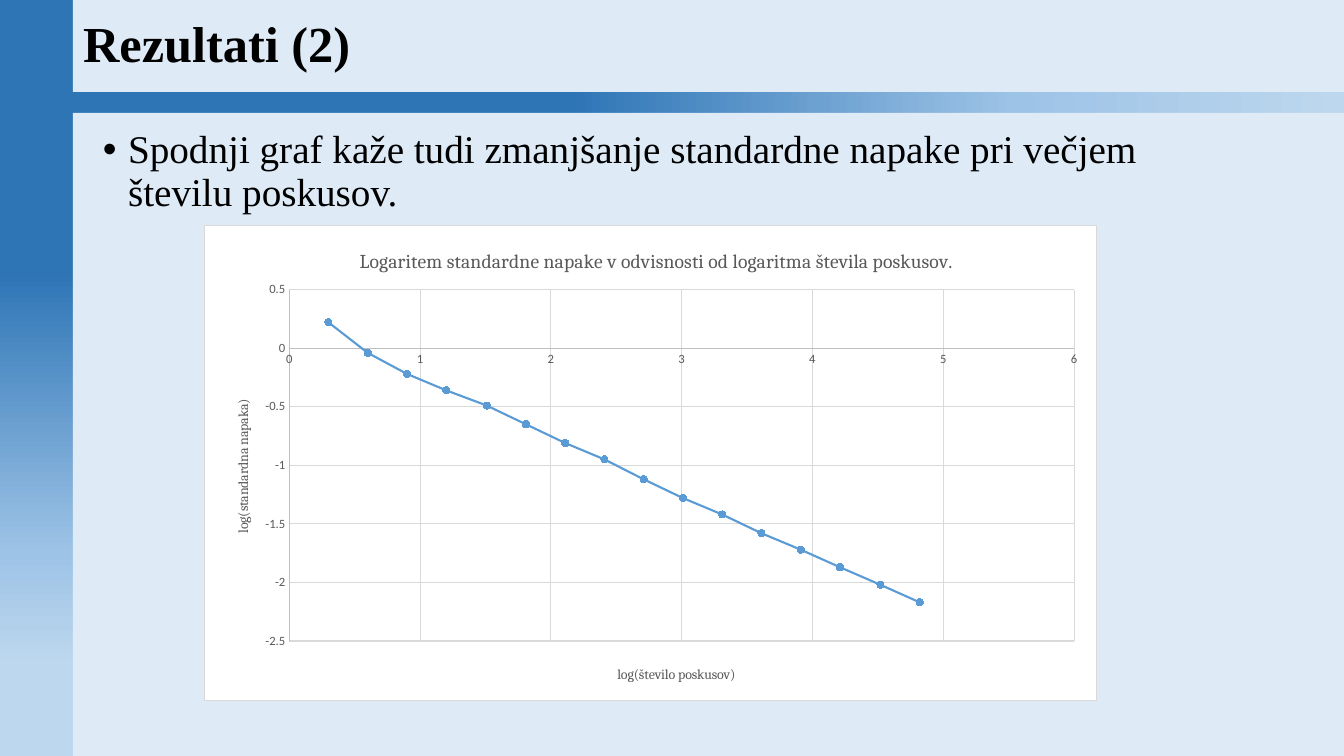
import dataclasses
import math

import pptx
import pptx.chart.data
import pptx.dml.color
import pptx.enum.chart
import pptx.enum.shapes
import pptx.enum.text
import pptx.oxml
import pptx.oxml.ns
import pptx.util

PX = 914400 / 100.8
SERIF = "Times New Roman"
CHART_SERIF = "Cambria"
BLUE, GRAY, GRID, AXIS = "5B9BD5", "595959", "D9D9D9", "BFBFBF"
STANDARD_ERRORS = [0.22, -0.04, -0.22, -0.36, -0.49, -0.65, -0.81, -0.95,
                   -1.12, -1.28, -1.42, -1.58, -1.72, -1.87, -2.02, -2.17]


@dataclasses.dataclass
class Panel:
    """A background rectangle; several stops make a gradient."""
    box: tuple[int, int, int, int]
    stops: list[tuple[int, str]]
    angle: int = 0


@dataclasses.dataclass
class Axis:
    title: str
    low: float
    high: float
    step: float
    title_at: tuple[float, float]


PANELS = [
    Panel((0, 0, 73, 756),
          [(36, "2E75B6"), (73, "9DC3E6"), (88, "BDD7EE"), (100, "BDD7EE")], 90),
    Panel((73, 92, 1271, 21),
          [(0, "2E75B6"), (39, "2E75B6"), (74, "9DC3E6"), (100, "BDD7EE")]),
    Panel((73, 113, 1271, 643), [(0, "DEEBF7")]),
    Panel((73, 0, 1271, 92), [(0, "DEEBF7")]),
]
X_AXIS = Axis("log(število poskusov)", 0, 6, 1, (0.46, 0.92))
Y_AXIS = Axis("log(standardna napaka)", -2.5, 0.5, 0.5, (0.03, 0.36))


def px(*lengths: int) -> list[pptx.util.Emu]:
    return [pptx.util.Emu(round(n * PX)) for n in lengths]


def rgb(color: str) -> pptx.dml.color.RGBColor:
    return pptx.dml.color.RGBColor.from_string(color)


def xml(markup: str):
    """Build an element, declaring the chart and drawing namespaces."""
    tag, rest = markup.split(">", 1)
    slash = "/" if tag.endswith("/") else ""
    spaces = pptx.oxml.ns.nsdecls("a", "c")
    return pptx.oxml.parse_xml(f"{tag.rstrip('/')} {spaces}{slash}>{rest}")


def set_font(font, name: str, size: float, color: str, bold: bool = False) -> None:
    font.name, font.size, font.bold = name, pptx.util.Pt(size), bold
    font.color.rgb = rgb(color)


def set_line(line, color: str, width: float) -> None:
    line.color.rgb = rgb(color)
    line.width = pptx.util.Pt(width)


def draw_panel(s, panel: Panel) -> None:
    rect = s.shapes.add_shape(pptx.enum.shapes.MSO_SHAPE.RECTANGLE, *px(*panel.box))
    rect.shadow.inherit = False
    rect.line.fill.background()
    if len(panel.stops) == 1:
        rect.fill.solid()
        rect.fill.fore_color.rgb = rgb(panel.stops[0][1])
        return
    rect.fill.gradient()
    rect.fill.gradient_angle = -panel.angle % 360
    stop_list = rect.element.find(".//" + pptx.oxml.ns.qn("a:gsLst"))
    for stop in list(stop_list):
        stop_list.remove(stop)
    for position, color in panel.stops:
        stop_list.append(xml(f'<a:gs pos="{position * 1000}"><a:srgbClr val="{color}"/></a:gs>'))


def set_layout(element, index: int, inner: bool = False, **fractions: float) -> None:
    """Place a chart part by fractions of the chart's size."""
    for old in element.findall(pptx.oxml.ns.qn("c:layout")):
        element.remove(old)
    target = '<c:layoutTarget val="inner"/>' if inner else ""
    modes = '<c:xMode val="edge"/><c:yMode val="edge"/>'
    values = "".join(f'<c:{key} val="{value}"/>' for key, value in fractions.items())
    element.insert(index, xml(
        f"<c:layout><c:manualLayout>{target}{modes}{values}</c:manualLayout></c:layout>"))


def set_title(owner, title, text: str, size: float, at: tuple[float, float]) -> None:
    """Fill in the title of a chart or an axis."""
    p = title.text_frame.paragraphs[0]
    p.text = text
    set_font(p.font, CHART_SERIF, size, GRAY)
    set_layout(owner.find(".//" + pptx.oxml.ns.qn("c:title")), 1, x=at[0], y=at[1])


def format_axis(axis, element, look: Axis) -> None:
    axis.minimum_scale, axis.maximum_scale = look.low, look.high
    axis.major_unit = look.step
    axis.major_tick_mark = axis.minor_tick_mark = pptx.enum.chart.XL_TICK_MARK.NONE
    axis.has_major_gridlines = True
    set_line(axis.major_gridlines.format.line, GRID, 0.75)
    set_line(axis.format.line, AXIS, 0.75)
    set_font(axis.tick_labels.font, "Calibri", 9, GRAY)
    axis.tick_labels.number_format = "General"
    axis.tick_labels.number_format_is_linked = False
    set_title(element, axis.axis_title, look.title, 10, look.title_at)


def draw_chart(s) -> None:
    data = pptx.chart.data.XyChartData()
    errors = data.add_series("Series 1")
    for power, value in enumerate(STANDARD_ERRORS, start=1):
        errors.add_data_point(round(power * math.log10(2), 2), value)
    chart_type = pptx.enum.chart.XL_CHART_TYPE
    chart = s.shapes.add_chart(chart_type.XY_SCATTER_LINES, *px(204, 225, 893, 476), data).chart
    set_font(chart.font, "Calibri", 10, "000000")
    chart.has_legend = False
    chart.plots[0].vary_by_categories = False

    space = chart.element
    body = space.find(pptx.oxml.ns.qn("c:chart"))
    body.addnext(xml(
        '<c:spPr><a:solidFill><a:srgbClr val="FFFFFF"/></a:solidFill><a:ln w="9525">'
        f'<a:solidFill><a:srgbClr val="{GRID}"/></a:solidFill></a:ln></c:spPr>'))
    plot_area = body.find(pptx.oxml.ns.qn("c:plotArea"))
    set_layout(plot_area, 0, inner=True, x=0.095, y=0.135, w=0.88, h=0.74)
    axis_elements = plot_area.findall(pptx.oxml.ns.qn("c:valAx"))
    axes = (chart.category_axis, chart.value_axis)
    for axis, element, look in zip(axes, axis_elements, (X_AXIS, Y_AXIS)):
        format_axis(axis, element, look)
    chart.has_title = True
    set_title(body, chart.chart_title,
              "Logaritem standardne napake v odvisnosti od logaritma števila poskusov.",
              14, (0.17, 0.04))

    series = chart.plots[0].series[0]
    series.smooth = False
    set_line(series.format.line, BLUE, 1.5)
    series.marker.style = pptx.enum.chart.XL_MARKER_STYLE.CIRCLE
    series.marker.size = 5
    series.marker.format.fill.solid()
    series.marker.format.fill.fore_color.rgb = rgb(BLUE)
    set_line(series.marker.format.line, BLUE, 0.75)


def draw_title(s) -> None:
    title = s.shapes.title
    title.left, title.top, title.width, title.height = px(73, 0, 1159, 92)
    title.element.getparent().append(title.element)
    tf = title.text_frame
    tf.vertical_anchor = pptx.enum.text.MSO_ANCHOR.MIDDLE
    p = tf.paragraphs[0]
    p.text = "Rezultati (2)"
    p.alignment = pptx.enum.text.PP_ALIGN.LEFT
    p.line_spacing = 0.9
    set_font(p.font, SERIF, 36, "000000", bold=True)


def draw_bullet(s) -> None:
    tf = s.shapes.add_textbox(*px(93, 125, 1159, 542)).text_frame
    tf.word_wrap = True
    p = tf.paragraphs[0]
    p.text = "Spodnji graf kaže tudi zmanjšanje standardne napake pri večjem številu poskusov."
    p.line_spacing = 0.9
    p.space_before = pptx.util.Pt(10)
    set_font(p.font, SERIF, 28, "000000")
    properties = p.font._element.getparent()
    properties.set("marL", "228600")
    properties.set("indent", "-228600")
    default_run = properties.find(pptx.oxml.ns.qn("a:defRPr"))
    default_run.addprevious(xml('<a:buFont typeface="Arial"/>'))
    default_run.addprevious(xml('<a:buChar char="•"/>'))


def main() -> None:
    prs = pptx.Presentation()
    prs.slide_width, prs.slide_height = px(1344, 756)
    s = prs.slides.add_slide(prs.slide_layouts[5])
    for panel in PANELS:
        draw_panel(s, panel)
    draw_title(s)
    draw_bullet(s)
    draw_chart(s)
    prs.save("out.pptx")


if __name__ == "__main__":
    main()
